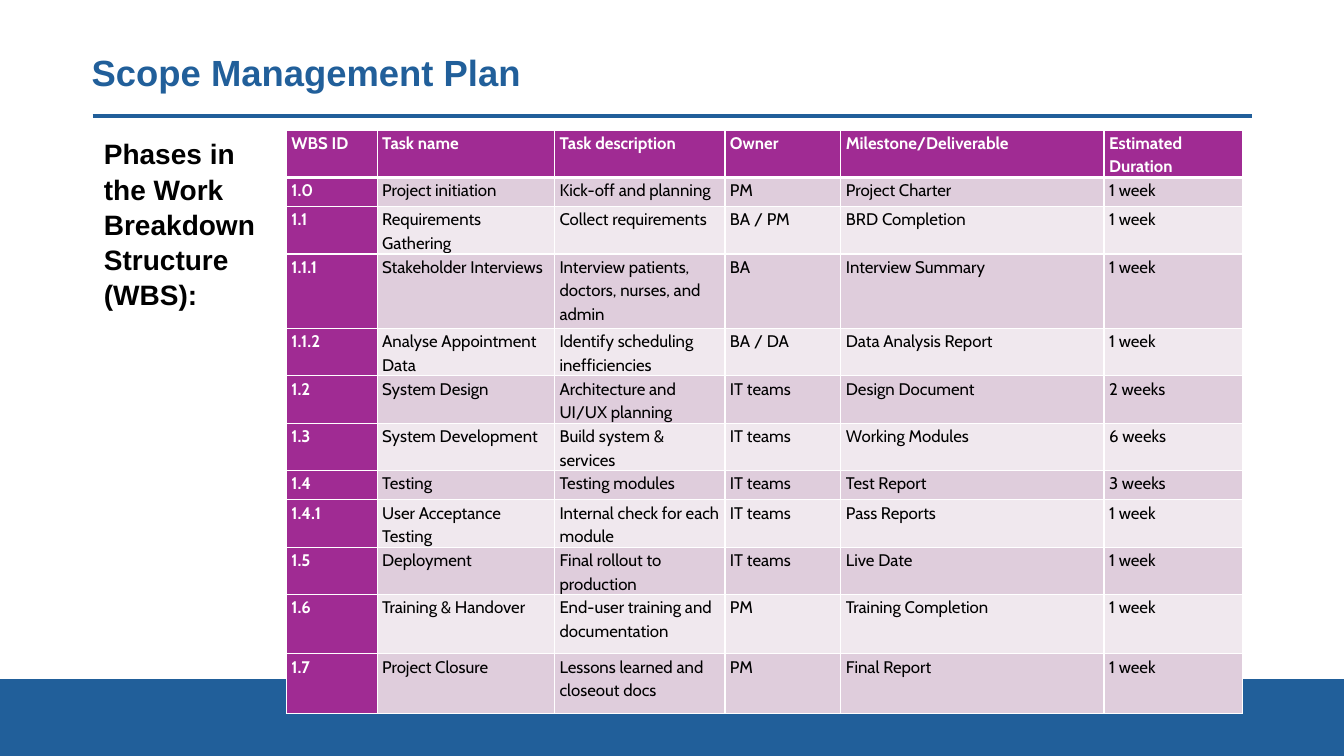
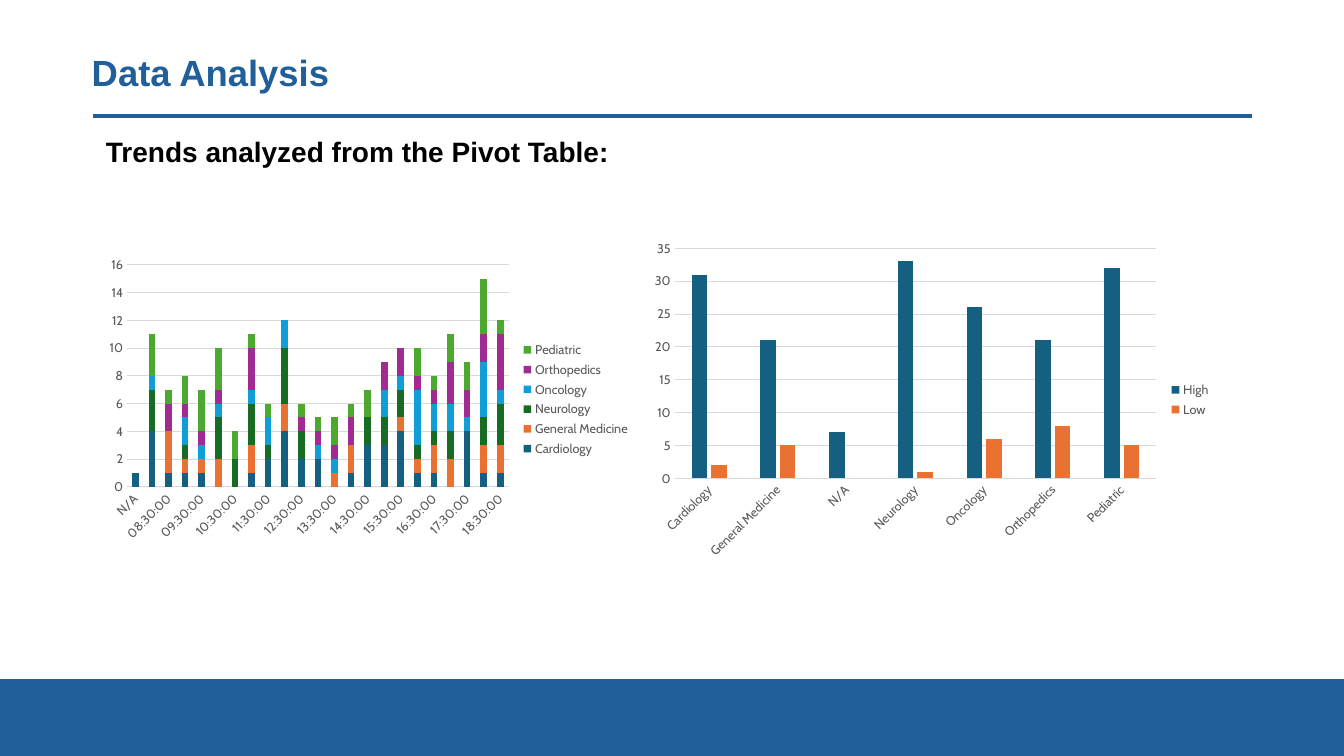
import lxml.etree
import pptx
import pptx.chart.data
import pptx.dml.color
import pptx.enum.chart
import pptx.enum.shapes
import pptx.enum.text
import pptx.oxml.ns
import pptx.util

PX = 9144
COLORS = {
    "blue": "215F9A", "black": "000000", "white": "FFFFFF",
    "plum": "A02B93", "dark": "DFCDDC", "light": "F0E8EE",
    "grid": "D9D9D9", "label": "595959",
}
HUES = ["156082", "E97132", "196B24", "0F9ED5", "A02B93", "4EA72E"]
HEAD = "Arial"
BODY = "Cabin"
NIL = None

TASKS = [
    ("WBS ID", "Task name", "Task description", "Owner", "Milestone/Deliverable", "Estimated Duration"),
    ("1.0", "Project initiation", "Kick-off and planning", "PM", "Project Charter", "1 week"),
    ("1.1", "Requirements Gathering", "Collect requirements", "BA / PM", "BRD Completion", "1 week"),
    ("1.1.1", "Stakeholder Interviews", "Interview patients, doctors, nurses, and admin", "BA",
     "Interview Summary", "1 week"),
    ("1.1.2", "Analyse Appointment Data", "Identify scheduling inefficiencies", "BA / DA",
     "Data Analysis Report", "1 week"),
    ("1.2", "System Design", "Architecture and UI/UX planning", "IT teams", "Design Document", "2 weeks"),
    ("1.3", "System Development", "Build system & services", "IT teams", "Working Modules", "6 weeks"),
    ("1.4", "Testing", "Testing modules", "IT teams", "Test Report", "3 weeks"),
    ("1.4.1", "User Acceptance Testing", "Internal check for each module", "IT teams", "Pass Reports", "1 week"),
    ("1.5", "Deployment", "Final rollout to production", "IT teams", "Live Date", "1 week"),
    ("1.6", "Training & Handover", "End-user training and documentation", "PM", "Training Completion", "1 week"),
    ("1.7", "Project Closure", "Lessons learned and closeout docs", "PM", "Final Report", "1 week"),
]
WIDTHS = [90, 176, 169, 115, 261, 137]
HEIGHTS = [47, 29, 47, 74, 47, 47, 47, 29, 47, 47, 59, 59]

TIMES = ["N/A"] + [f"{hour:02}:{half}:00" for hour in range(8, 19) for half in ("00", "30")]
VISITS = {
    "Cardiology": [1, 4, 1, 1, 1, NIL, NIL, 1, 2, 4, 2, 2, NIL, 1, 3, 3, 4, 1, 1, NIL, 4, 1, 1],
    "General Medicine": [NIL, NIL, 3, 1, 1, 2, NIL, 2, NIL, 2, NIL, NIL, 1, 2, NIL, NIL, 1, 1, 2, 2, NIL, 2, 2],
    "Neurology": [NIL, 3, NIL, 1, NIL, 3, 2, 3, 1, 4, 2, NIL, NIL, NIL, 2, 2, 2, 1, 1, 2, NIL, 2, 3],
    "Oncology": [NIL, 1, NIL, 2, 1, 1, NIL, 1, 2, 2, NIL, 1, 1, NIL, NIL, 2, 1, 4, 2, 2, 1, 4, 1],
    "Orthopedics": [NIL, NIL, 2, 1, 1, 1, NIL, 3, NIL, NIL, 1, 1, 1, 2, NIL, 2, 2, 1, 1, 3, 2, 2, 4],
    "Pediatric": [NIL, 3, 1, 2, 3, 3, 2, 1, 1, NIL, 1, 1, 2, 1, 2, NIL, NIL, 2, 1, 2, 2, 4, 1],
}
UNITS = ["Cardiology", "General Medicine", "N/A", "Neurology", "Oncology", "Orthopedics", "Pediatric"]
RANKS = {"High": [31, 21, 7, 33, 26, 21, 32], "Low": [2, 5, NIL, 1, 6, 8, 5]}


def px(*sizes):
    return [pptx.util.Emu(size * PX) for size in sizes]


def rgb(name):
    return pptx.dml.color.RGBColor.from_string(COLORS.get(name, name))


def add_node(parent, tag, **attrs):
    return lxml.etree.SubElement(parent, pptx.oxml.ns.qn(tag), **attrs)


def set_font(font, size, color, name, bold=False):
    font.size = pptx.util.Pt(size)
    font.color.rgb = rgb(color)
    font.name = name
    font.bold = bold


def set_line(line, color, width):
    line.color.rgb = rgb(color)
    line.width = pptx.util.Pt(width)


def place(shape, box):
    shape.left, shape.top, shape.width, shape.height = px(*box)


def set_frame(layout, slide):
    band = slide.shapes.add_shape(pptx.enum.shapes.MSO_SHAPE.RECTANGLE, *px(0, 675, 1333, 75))
    band.shadow.inherit = False
    band.fill.solid()
    band.fill.fore_color.rgb = rgb("blue")
    set_line(band.line, "blue", 1.5)
    rule = slide.shapes.add_connector(pptx.enum.shapes.MSO_CONNECTOR.STRAIGHT, *px(92, 115, 1242, 115))
    set_line(rule.line, "blue", 3)
    add_node(rule._element.spPr, "a:effectLst")
    for index, shape in enumerate((band, rule)):
        shape._element.xpath(".//p:cNvPr")[0].set("id", str(20 + index))
        layout.shapes.element.insert(2 + index, shape._element)
    place(layout.placeholders[0], (81, 37, 1150, 75))
    place(layout.placeholders[1], (95, 132, 1150, 50))


def set_text(shape, text, size, color, spacing):
    frame = shape.text_frame
    frame.text = text
    frame.word_wrap = True
    frame.auto_size = pptx.enum.text.MSO_AUTO_SIZE.NONE
    para = frame.paragraphs[0]
    props = para._p.get_or_add_pPr()
    props.set("marL", "0")
    props.set("indent", "0")
    add_node(props, "a:buNone")
    para.alignment = pptx.enum.text.PP_ALIGN.LEFT
    para.line_spacing = spacing
    para.space_before = pptx.util.Pt(0)
    set_font(para.runs[0].font, size, color, HEAD, True)


def add_page(deck, title, text, box=None, spacing=0.9):
    slide = deck.slides.add_slide(deck.slide_layouts[1])
    head, body = slide.placeholders
    set_text(head, title, 26, "blue", 0.9)
    head.text_frame.vertical_anchor = pptx.enum.text.MSO_ANCHOR.MIDDLE
    set_text(body, text, 20, "black", spacing)
    if box:
        place(body, box)
    return slide


def set_edges(cell, base):
    props = cell._tc.get_or_add_tcPr()
    for index, side in enumerate("LRTB"):
        width = base if side == "B" else 1
        edge = add_node(props, "a:ln" + side, w=str(pptx.util.Pt(width)))
        add_node(add_node(edge, "a:solidFill"), "a:srgbClr", val=COLORS["white"])
        props.insert(index, edge)


def set_cell(cell, text, fill, strong, base):
    cell.margin_left, cell.margin_right = px(5, 5)
    cell.margin_top = cell.margin_bottom = 0
    cell.fill.solid()
    cell.fill.fore_color.rgb = rgb(fill)
    cell.text_frame.text = text
    para = cell.text_frame.paragraphs[0]
    para.line_spacing = 1.15
    para.space_after = pptx.util.Pt(8)
    set_font(para.runs[0].font, 12, "white" if strong else "black", BODY, strong)
    set_edges(cell, base)


def add_grid(slide, left, top):
    box = px(left, top, sum(WIDTHS), sum(HEIGHTS))
    table = slide.shapes.add_table(len(TASKS), len(WIDTHS), *box).table
    for col, width in zip(table.columns, px(*WIDTHS)):
        col.width = width
    for row, height in zip(table.rows, px(*HEIGHTS)):
        row.height = height
    for r, task in enumerate(TASKS):
        for c, text in enumerate(task):
            strong = r == 0 or c == 0
            fill = "plum" if strong else "dark" if r % 2 else "light"
            set_cell(table.cell(r, c), text, fill, strong, 1 if r else 3)


def set_axis(axis):
    axis.major_tick_mark = axis.minor_tick_mark = pptx.enum.chart.XL_TICK_MARK.NONE
    set_font(axis.tick_labels.font, 9, "label", BODY)


def add_bars(slide, kind, box, cats, rows, top, step, gap, overlap):
    data = pptx.chart.data.CategoryChartData()
    data.categories = cats
    for name, vals in rows.items():
        data.add_series(name, vals)
    chart = slide.shapes.add_chart(kind, *px(*box), data).chart
    chart.has_title = False
    set_font(chart.font, 10, "black", BODY)
    chart.has_legend = True
    chart.legend.position = pptx.enum.chart.XL_LEGEND_POSITION.RIGHT
    chart.legend.include_in_layout = False
    set_font(chart.legend.font, 9, "label", BODY)
    plot = chart.plots[0]
    plot.vary_by_categories = False
    plot.gap_width = gap
    plot.overlap = overlap
    for item, hue in zip(plot.series, HUES):
        item.format.fill.solid()
        item.format.fill.fore_color.rgb = rgb(hue)
        item.invert_if_negative = False
    cat, val = chart.category_axis, chart.value_axis
    set_axis(cat)
    set_line(cat.format.line, "grid", 0.75)
    cat._element.xpath("c:txPr/a:bodyPr")[0].set("rot", "-2700000")
    set_axis(val)
    val.minimum_scale, val.maximum_scale, val.major_unit = 0, top, step
    val.format.line.fill.background()
    set_line(val.major_gridlines.format.line, "grid", 0.75)


def main():
    deck = pptx.Presentation()
    deck.slide_width, deck.slide_height = px(1333, 750)
    scope = add_page(deck, "Scope Management Plan", "Phases in the Work Breakdown Structure (WBS):",
                     (93, 129, 174, 190), 1.05)
    set_frame(deck.slide_layouts[1], scope)
    add_grid(scope, 284, 129)
    trends = add_page(deck, "Data Analysis", "Trends analyzed from the Pivot Table:")
    kinds = pptx.enum.chart.XL_CHART_TYPE
    add_bars(trends, kinds.COLUMN_CLUSTERED, (638, 232, 573, 329), UNITS, RANKS, 35, 5, 219, -27)
    add_bars(trends, kinds.COLUMN_STACKED, (98, 249, 537, 294), TIMES, VISITS, 16, 2, 150, 100)
    deck.save("out.pptx")


if __name__ == "__main__":
    main()
